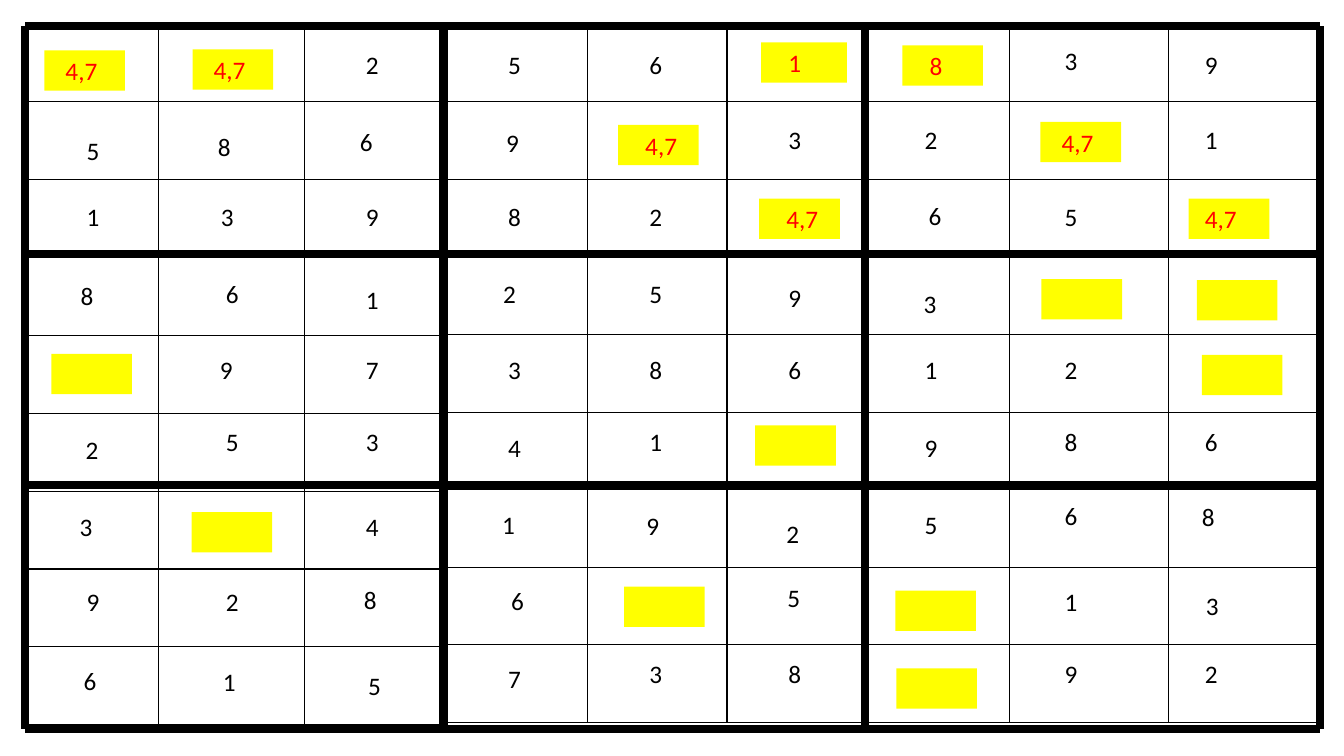
from itertools import product

from lxml import etree
from pptx import Presentation
from pptx import util as u
from pptx.dml.color import RGBColor
from pptx.enum import shapes, text
from pptx.oxml import ns

BLACK = RGBColor(0x00, 0x00, 0x00)
WHITE = RGBColor(0xFF, 0xFF, 0xFF)
YELLOW = RGBColor(0xFF, 0xFF, 0x00)
RED = RGBColor(0xFF, 0x00, 0x00)
FONT = "Calibri"

BOARD = (0.25, 0.25, 12.84, 6.98)
BANDS = [
    (0.01, 6.94, (1.31, 1.45, 1.36)),
    (4.18, 6.92, (1.40, 1.38, 1.37)),
    (8.33, 6.92, (1.43, 1.58, 1.50)),
]
FIRST_ROW = 0.76
VERTICAL_RULES = (0, 4.15, 8.33, 12.84)
HORIZONTAL_RULES = (0.01, 2.27, 4.56, 6.98)

DIGIT_LEFTS = (0.23, 1.61, 3.00, 4.41, 5.81, 7.19, 8.54, 9.93, 11.32)
DIGIT_TOPS = (0.19, 0.93, 1.70, 2.46, 3.22, 3.93, 4.75, 5.52, 6.23)
DIGIT_SIZE = (0.82, 0.40)
DIGIT_INDENT = 0.38
PUZZLE = (
    "..256..39",
    "5869.32.1",
    "13982.65.",
    "8612593..",
    ".9738612.",
    "25341.986",
    "3.4192568",
    "9286.5.13",
    "615738.92",
)
NUDGES = {
    (0, 7): (0, -0.04),
    (1, 0): (0, 0.11), (1, 1): (-0.08, 0.07), (1, 2): (-0.06, 0.02), (1, 3): (-0.02, 0.03),
    (2, 1): (-0.05, 0), (2, 6): (0.04, -0.01),
    (3, 0): (-0.06, 0.02), (3, 2): (0, 0.06), (3, 3): (-0.05, 0),
    (3, 5): (0, 0.04), (3, 6): (-0.01, 0.10),
    (4, 1): (-0.06, 0),
    (5, 0): (-0.01, 0.08), (5, 3): (0, 0.06), (5, 6): (0, 0.06),
    (6, 0): (-0.07, 0.02), (6, 2): (0, 0.02), (6, 3): (-0.06, 0), (6, 4): (-0.03, 0.01),
    (6, 5): (-0.02, 0.09), (6, 7): (0, -0.09), (6, 8): (-0.03, -0.08),
    (7, 2): (-0.02, -0.02), (7, 3): (0.03, -0.01), (7, 5): (-0.01, -0.04), (7, 8): (0.01, 0.04),
    (8, 0): (-0.03, 0.07), (8, 1): (-0.03, 0.08), (8, 2): (0.02, 0.12), (8, 3): (0, 0.05),
}
CANDIDATES = [
    ("4,7", 0.19, 0.25, 0.80, 0.21),
    ("4,7", 1.66, 0.24, 0.80, 0.21),
    ("1", 7.30, 0.17, 0.85, 0.27),
    ("8", 8.70, 0.20, 0.80, 0.27),
    ("4,7", 5.88, 0.99, 0.80, 0.27),
    ("4,7", 10.07, 0.96, 0.80, 0.21),
    ("4,7", 7.28, 1.72, 0.80, 0.27),
    ("4,7", 11.54, 1.72, 0.80, 0.16),
]
OPEN_CELLS = [
    (10.08, 2.52), (11.62, 2.53), (0.26, 3.26), (11.67, 3.27), (7.24, 3.97),
    (1.65, 4.83), (5.94, 5.57), (8.63, 5.61), (8.64, 6.38),
]


def write(shape, content, color=BLACK, indent=0.1, size=18):
    """Fill a shape with left-aligned text at the given indent."""
    frame = shape.text_frame
    frame.word_wrap = True
    frame.margin_left = u.Inches(indent)
    frame.vertical_anchor = text.MSO_ANCHOR.TOP
    paragraph = frame.paragraphs[0]
    paragraph.alignment = text.PP_ALIGN.LEFT
    run = paragraph.add_run()
    run.text = content
    run.font.name = FONT
    run.font.size = u.Pt(size)
    run.font.color.rgb = color


def border_cell(cell, points=1):
    """Give a cell a white fill and thin black borders."""
    cell.fill.solid()
    cell.fill.fore_color.rgb = WHITE
    properties = cell._tc.get_or_add_tcPr()
    for position, side in enumerate(("lnL", "lnR", "lnT", "lnB")):
        border = etree.Element(ns.qn(f"a:{side}"), w=str(u.Pt(points)))
        fill = etree.SubElement(border, ns.qn("a:solidFill"))
        etree.SubElement(fill, ns.qn("a:srgbClr"), val=str(BLACK))
        properties.insert(position, border)


def add_band(slide, box, widths):
    """Draw three columns of nine empty cells in the box."""
    height = box[3]
    table = slide.shapes.add_table(9, 3, *map(u.Inches, box)).table
    for column, width in zip(table.columns, widths):
        column.width = u.Inches(width)
    for index, row in enumerate(table.rows):
        row.height = u.Inches((height - FIRST_ROW) / 8 if index else FIRST_ROW)
    for cell in table.iter_cells():
        border_cell(cell)


def add_rule(slide, start, end):
    """Draw one thick line between two points."""
    line = slide.shapes.add_connector(shapes.MSO_CONNECTOR.STRAIGHT, *map(u.Inches, start + end))
    line.line.color.rgb = BLACK
    line.line.width = u.Pt(6)
    etree.SubElement(line._element.spPr, ns.qn("a:effectLst"))


def add_rules(slide, box):
    """Draw the thick lines that frame the nine blocks."""
    left, top, width, height = box
    for x in VERTICAL_RULES:
        add_rule(slide, (left + x, top + 0.01), (left + x, top + height))
    for y in HORIZONTAL_RULES:
        add_rule(slide, (left, top + y), (left + width, top + y))


def add_digits(slide, box):
    """Place the known digits in their cells."""
    for row, column in product(range(9), repeat=2):
        digit = PUZZLE[row][column]
        if digit == ".":
            continue
        across, down = NUDGES.get((row, column), (0, 0))
        left = box[0] + DIGIT_LEFTS[column] + across
        top = box[1] + DIGIT_TOPS[row] + down
        label = slide.shapes.add_textbox(*map(u.Inches, (left, top) + DIGIT_SIZE))
        write(label, digit, indent=DIGIT_INDENT)


def add_marker(slide, left, top, width=0.8):
    """Draw one yellow marker and return it."""
    marker = slide.shapes.add_shape(
        shapes.MSO_SHAPE.RECTANGLE, *map(u.Inches, (left, top, width, 0.4)))
    marker.shadow.inherit = False
    marker.fill.solid()
    marker.fill.fore_color.rgb = YELLOW
    marker.line.fill.background()
    return marker


def add_markers(slide, box):
    """Place the markers with candidates and the open ones."""
    for content, x, y, width, indent in CANDIDATES:
        marker = add_marker(slide, box[0] + x, box[1] + y, width)
        write(marker, content, color=RED, indent=indent)
    for x, y in OPEN_CELLS:
        add_marker(slide, box[0] + x, box[1] + y)


def add_board(slide, box):
    """Build the whole puzzle inside the box."""
    for x, height, widths in BANDS:
        add_band(slide, (box[0] + x, box[1], sum(widths), height), widths)
    add_rules(slide, box)
    add_digits(slide, box)
    add_markers(slide, box)


def main():
    """Create the presentation with its single slide."""
    presentation = Presentation()
    presentation.slide_width = u.Inches(13.33)
    presentation.slide_height = u.Inches(7.5)
    slide = presentation.slides.add_slide(presentation.slide_layouts[6])
    add_board(slide, BOARD)
    presentation.save("out.pptx")


main()
